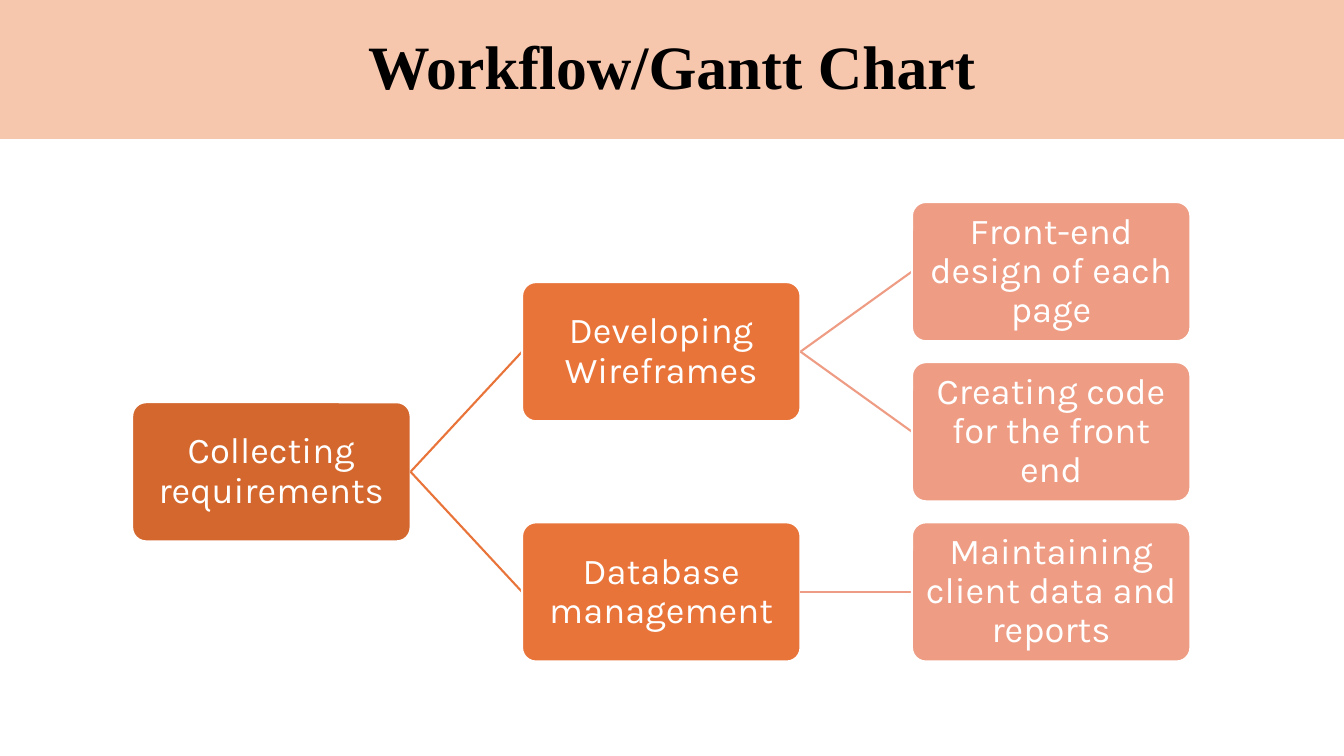
from dataclasses import dataclass
from typing import Any

import pptx
import pptx.dml.color
import pptx.enum.shapes
import pptx.enum.text
import pptx.oxml.ns
import pptx.util

Pt = pptx.util.Pt
RGB = pptx.dml.color.RGBColor.from_string
SHAPE = pptx.enum.shapes.MSO_SHAPE


@dataclass(frozen=True)
class Theme:
    banner: str = "F6C6AD"
    title: str = "000000"
    white: str = "FFFFFF"
    levels: tuple[str, ...] = ("D3672D", "E9743A", "EE9C84")
    title_font: str = "Times New Roman"
    step_font: str = "Karla"
    title_size: float = 44
    step_size: float = 26
    line_width: float = 1.5


@dataclass(frozen=True)
class Step:
    text: str
    row: float
    children: tuple["Step", ...] = ()


THEME = Theme()

# Slide and tree grid, in points
SLIDE_W, SLIDE_H, BANNER_H = 960, 540, 99.2
LEFT, TOP = 94.4, 144.3
STEP_W, STEP_H = 198.9, 99.4
COL_PITCH, ROW_PITCH = 278.5, 114.4

WORKFLOW = Step("Collecting requirements", 1.25, (
    Step("Developing Wireframes", 0.5, (
        Step("Front-end design of each page", 0),
        Step("Creating code for the front end", 1),
    )),
    Step("Database management", 2, (
        Step("Maintaining client data and reports", 2),
    )),
))


def set_all(obj: Any, values: dict[str, Any]) -> None:
    for name, value in values.items():
        setattr(obj, name, value)


def add_box(s: Any, kind: Any, box: tuple[float, ...], fill: str, text: str,
            font: dict[str, Any], color: str) -> Any:
    sp = s.shapes.add_shape(kind, *map(Pt, box))
    sp.shadow.inherit = False
    sp.fill.solid()
    sp.fill.fore_color.rgb = RGB(fill)
    sp.line.fill.background()
    tf = sp.text_frame
    set_all(tf, {"word_wrap": True,
                 "vertical_anchor": pptx.enum.text.MSO_ANCHOR.MIDDLE})
    p = tf.paragraphs[0]
    set_all(p, {"alignment": pptx.enum.text.PP_ALIGN.CENTER, "line_spacing": 0.9})
    r = p.add_run()
    r.text = text
    set_all(r.font, font)
    r.font.color.rgb = RGB(color)
    return sp


def set_line(sp: Any, color: str) -> None:
    sp.line.color.rgb = RGB(color)
    sp.line.width = Pt(THEME.line_width)


def add_link(s: Any, start: tuple[float, float], end: tuple[float, float],
             color: str) -> None:
    link = s.shapes.add_connector(
        pptx.enum.shapes.MSO_CONNECTOR.STRAIGHT, *map(Pt, start + end))
    set_line(link, color)
    sp_pr = link._element.spPr
    sp_pr.append(sp_pr.makeelement(pptx.oxml.ns.qn("a:effectLst"), {}))


def add_step(s: Any, step: Step, level: int = 0) -> None:
    x, y = LEFT + level * COL_PITCH, TOP + step.row * ROW_PITCH
    sp = add_box(s, SHAPE.ROUNDED_RECTANGLE, (x, y, STEP_W, STEP_H),
                 THEME.levels[level], step.text,
                 {"name": THEME.step_font, "size": Pt(THEME.step_size)}, THEME.white)
    sp.adjustments[0] = 0.1
    set_line(sp, THEME.white)
    sides = ("left", "top", "right", "bottom")
    set_all(sp.text_frame, {f"margin_{side}": Pt(1.3) for side in sides})
    # Links run from the right edge to the left edge of each child
    for child in step.children:
        child_y = TOP + child.row * ROW_PITCH + STEP_H / 2
        add_link(s, (x + STEP_W, y + STEP_H / 2), (x + COL_PITCH, child_y),
                 THEME.levels[level + 1])
        add_step(s, child, level + 1)


def main() -> None:
    prs = pptx.Presentation()
    set_all(prs, {"slide_width": Pt(SLIDE_W), "slide_height": Pt(SLIDE_H)})
    s = prs.slides.add_slide(prs.slide_layouts[6])
    # Title banner
    add_box(s, SHAPE.RECTANGLE, (0, 0, SLIDE_W, BANNER_H), THEME.banner,
            "Workflow/Gantt Chart",
            {"name": THEME.title_font, "size": Pt(THEME.title_size), "bold": True},
            THEME.title)
    # Workflow tree
    add_step(s, WORKFLOW)
    prs.save("out.pptx")


if __name__ == "__main__":
    main()
